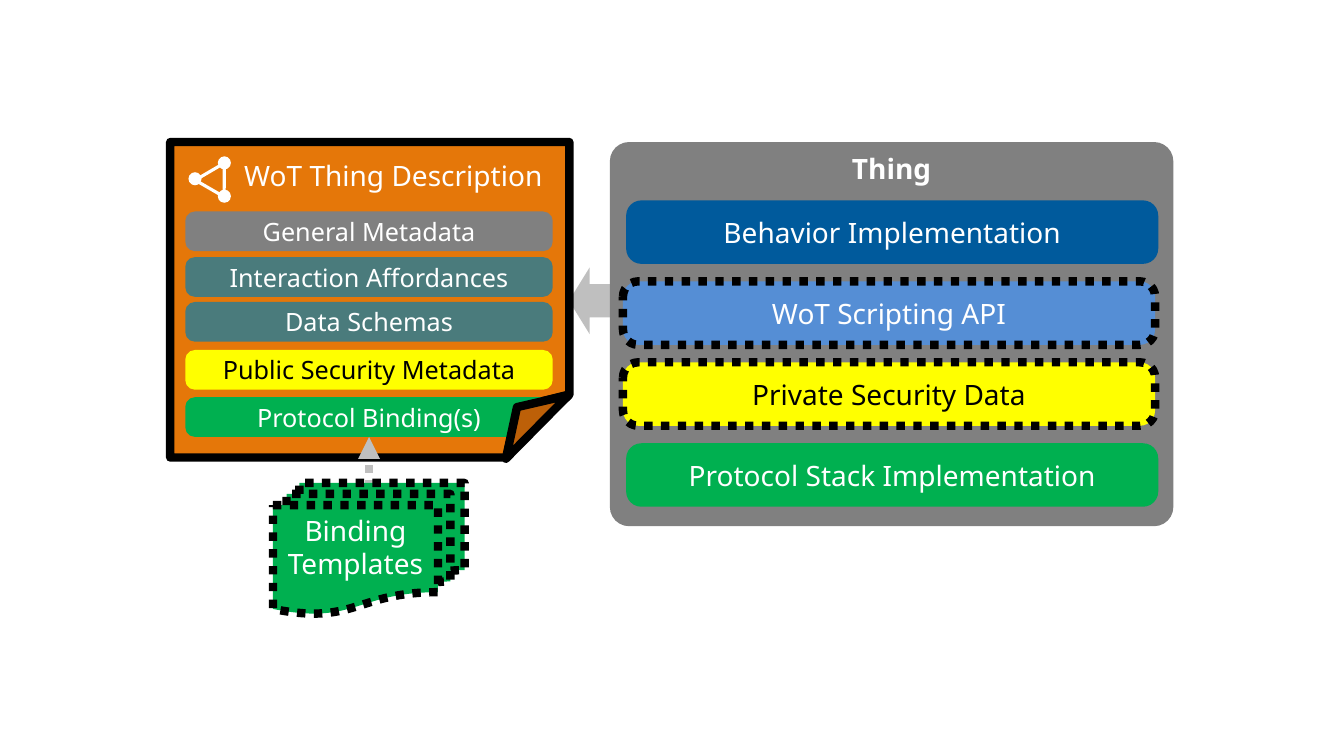
from dataclasses import dataclass

from lxml import etree
from pptx import Presentation
from pptx import util as u
from pptx.dml.color import RGBColor
from pptx.enum import dml, shapes, text
from pptx.oxml import ns

Preset = shapes.MSO_SHAPE


@dataclass(frozen=True)
class Theme:
    font: str = "Noto Sans"
    large: int = 20
    small: int = 18
    outline: float = 6
    white: str = "FFFFFF"
    black: str = "000000"
    grey: str = "808080"
    arrow: str = "BFBFBF"
    blue: str = "005A9C"
    light_blue: str = "558ED5"
    green: str = "00B050"
    yellow: str = "FFFF00"
    teal: str = "4A7B7C"
    orange: str = "E57709"
    fold: str = "BD6008"


THEME = Theme()


def set_line(line, color, width, dotted=False):
    line.color.rgb = RGBColor.from_string(color)
    line.width = u.Pt(width)
    if dotted:
        line.dash_style = dml.MSO_LINE.ROUND_DOT


def style_shape(shape, fill=None, outline=None, width=THEME.outline, dotted=False):
    shape.shadow.inherit = False
    if fill:
        shape.fill.solid()
        shape.fill.fore_color.rgb = RGBColor.from_string(fill)
    else:
        shape.fill.background()
    if outline:
        set_line(shape.line, outline, width, dotted)
    else:
        shape.line.fill.background()


def set_corner(shape, corner):
    """Set the corner size in XML, as folded corners expose no adjustments."""
    guides = shape._element.spPr.find(ns.qn("a:prstGeom")).find(ns.qn("a:avLst"))
    for guide in list(guides):
        guides.remove(guide)
    etree.SubElement(guides, ns.qn("a:gd"), name="adj",
                     fmla=f"val {round(corner * 100000)}")


def add_preset(slide, kind, box, fill=None, corner=None, rotation=0, **line):
    """Add a preset shape; box is left, top, width, height in centimetres."""
    shape = slide.shapes.add_shape(kind, *map(u.Cm, box))
    style_shape(shape, fill, **line)
    shape.rotation = rotation
    if corner is not None:
        set_corner(shape, corner)
    return shape


def write_label(shape, words, size, color=THEME.white, bold=False,
                anchor=text.MSO_ANCHOR.MIDDLE, insets=(0.25, 0.13, 0.25, 0.13)):
    frame = shape.text_frame
    frame.word_wrap = False
    frame.vertical_anchor = anchor
    (frame.margin_left, frame.margin_top,
     frame.margin_right, frame.margin_bottom) = map(u.Cm, insets)
    paragraph = frame.paragraphs[0]
    paragraph.text = words
    paragraph.alignment = text.PP_ALIGN.CENTER
    paragraph.font.name = THEME.font
    paragraph.font.size = u.Pt(size)
    paragraph.font.bold = bold
    paragraph.font.color.rgb = RGBColor.from_string(color)


def add_bar(slide, box, words, fill, size, dotted=False):
    bar = add_preset(slide, Preset.ROUNDED_RECTANGLE, box, fill, corner=0.24,
                     outline=THEME.black if dotted else None, dotted=dotted)
    color = THEME.black if fill == THEME.yellow else THEME.white
    write_label(bar, words, size, color)
    return bar


def add_polygon(slide, points, fill, outline=None):
    start, *rest = [(u.Cm(x), u.Cm(y)) for x, y in points]
    builder = slide.shapes.build_freeform(*start)
    builder.add_line_segments(rest, close=True)
    style_shape(builder.convert_to_shape(), fill, outline)


def add_dotted_arrow(slide, start, target):
    """Point from start to the middle of the target's bottom side."""
    x, y = map(u.Cm, start)
    arrow = slide.shapes.add_connector(
        shapes.MSO_CONNECTOR.STRAIGHT, x, y, x, target.top + target.height)
    arrow.end_connect(target, 2)
    set_line(arrow.line, THEME.arrow, 5.25, dotted=True)
    etree.SubElement(arrow.get_or_add_ln(), ns.qn("a:tailEnd"), type="triangle")
    etree.SubElement(arrow._element.spPr, ns.qn("a:effectLst"))


def add_thing(slide):
    panel = add_preset(slide, Preset.ROUNDED_RECTANGLE, (15.37, 3.58, 14.2, 9.68),
                       THEME.grey, corner=0.05)
    write_label(panel, "Thing", THEME.large, bold=True,
                anchor=text.MSO_ANCHOR.TOP, insets=(0.25, 0.1, 0.25, 0.2))
    layers = [
        ("Behavior Implementation", THEME.blue, False),
        ("WoT Scripting API", THEME.light_blue, True),
        ("Private Security Data", THEME.yellow, True),
        ("Protocol Stack Implementation", THEME.green, False),
    ]
    for index, (words, fill, dotted) in enumerate(layers):
        left = 15.7 if dotted else 15.78
        add_bar(slide, (left, 5.05 + 2.04 * index, 13.41, 1.6),
                words, fill, THEME.large, dotted)


def add_graph_icon(slide):
    add_preset(slide, Preset.ISOSCELES_TRIANGLE, (5.05, 4.06, 0.84, 0.74),
               rotation=30, outline=THEME.white, width=2.25)
    for left, top in [(5.49, 3.94), (4.75, 4.34), (5.49, 4.78)]:
        add_preset(slide, Preset.OVAL, (left, top, 0.33, 0.33), THEME.white)


def add_thing_description(slide):
    """Draw the folded page and return its last row."""
    page = add_preset(slide, Preset.FOLDED_CORNER, (4.29, 3.58, 10.06, 7.95),
                      THEME.orange, corner=0.2, outline=THEME.black)
    write_label(page, "WoT Thing Description", THEME.large,
                anchor=text.MSO_ANCHOR.TOP, insets=(1.19, 0.41, 0, 0))
    add_graph_icon(slide)
    rows = [
        (5.33, "General Metadata", THEME.grey),
        (6.48, "Interaction Affordances", THEME.teal),
        (7.61, "Data Schemas", THEME.teal),
        (8.82, "Public Security Metadata", THEME.yellow),
        (10.01, "Protocol Binding(s)", THEME.green),
    ]
    for top, words, fill in rows:
        bar = add_bar(slide, (4.67, top, 9.26, 1), words, fill, THEME.small)

    # Folded corner: blank out the page below the fold, then draw the flap
    add_polygon(slide, [(12.73, 11.56), (14.35, 11.56), (14.33, 9.96)], THEME.white)
    add_polygon(slide, [(12.75, 11.56), (13.03, 10.26), (14.33, 9.96)],
                THEME.fold, THEME.black)
    return bar


def add_binding_templates(slide):
    documents = add_preset(slide, Preset.FLOWCHART_MULTIDOCUMENT,
                           (6.88, 12.17, 4.83, 3.3), THEME.green,
                           outline=THEME.black, dotted=True)
    write_label(documents, "Binding\nTemplates", THEME.large,
                anchor=text.MSO_ANCHOR.TOP, insets=(0, 0.2, 0, 0))


def main():
    presentation = Presentation()
    presentation.slide_width = u.Cm(33.87)
    presentation.slide_height = u.Cm(19.05)
    slide = presentation.slides.add_slide(presentation.slide_layouts[6])

    # Block arrow from the Thing to its description
    add_preset(slide, Preset.LEFT_ARROW, (14.34, 6.74, 1.04, 1.68), THEME.arrow)
    add_thing(slide)
    protocol_binding = add_thing_description(slide)

    # Templates feeding the protocol bindings
    add_dotted_arrow(slide, (9.3, 13.39), protocol_binding)
    add_binding_templates(slide)

    presentation.save("out.pptx")


if __name__ == "__main__":
    main()
